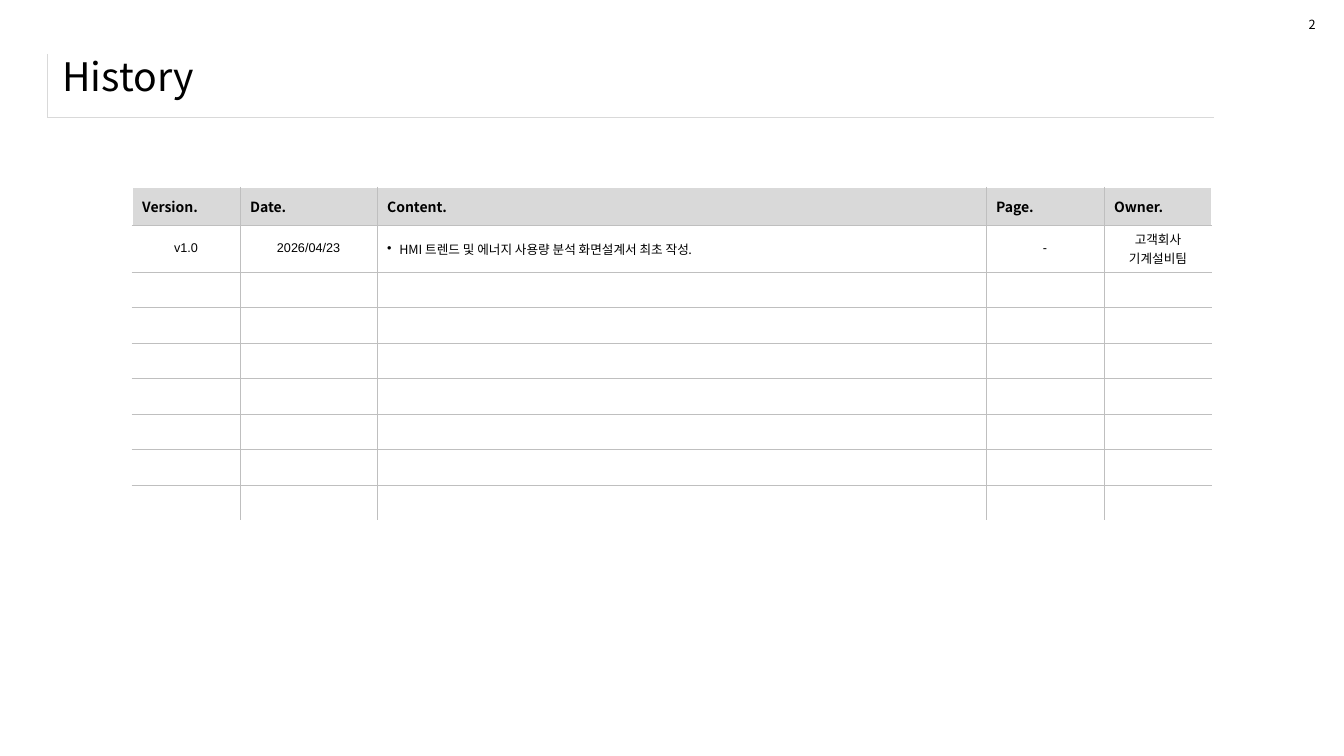
from dataclasses import dataclass

from lxml.etree import SubElement
from pptx import Presentation
from pptx.dml.color import RGBColor
from pptx.enum.text import MSO_ANCHOR as Anchor, MSO_AUTO_SIZE as AutoSize, PP_ALIGN as Align
from pptx.oxml.ns import qn
from pptx.util import Inches, Pt


@dataclass(frozen=True)
class Theme:
    text: str = "000000"
    header: str = "D9D9D9"
    grid: str = "BFBFBF"
    blank: str = "FFFFFF"
    sans: str = "Noto Sans CJK KR"
    latin: str = "Arial"
    title_size: int = 28
    header_size: int = 10
    body_size: int = 9
    hairline: float = 0.25
    indent: float = 0.12


class HistorySlide:
    """Places elements by percentages of the slide's width and height."""

    def __init__(self, deck, theme):
        self.deck, self.theme = deck, theme
        self.slide = deck.slides.add_slide(deck.slide_layouts[5])

    def across(self, percent):
        return round(self.deck.slide_width * percent / 100)

    def down(self, percent):
        return round(self.deck.slide_height * percent / 100)

    def box(self, left, top, width, height):
        return self.across(left), self.down(top), self.across(width), self.down(height)

    def style(self, paragraph, size, face=None, bold=False, align=Align.LEFT):
        face = face or self.theme.sans
        paragraph.alignment = align
        font = paragraph.font
        font.size, font.bold, font.name = Pt(size), bold, face
        font.color.rgb = RGBColor.from_string(self.theme.text)
        SubElement(font._rPr, qn("a:ea"), typeface=face)
        if not paragraph.text:
            SubElement(paragraph._p, qn("a:endParaRPr"), sz=str(size * 100))

    def bullet(self, paragraph):
        indent = Inches(self.theme.indent)
        properties = paragraph._p.get_or_add_pPr()
        properties.set("marL", str(indent))
        properties.set("indent", str(-indent))
        SubElement(properties, qn("a:buFont"), typeface=self.theme.latin)
        SubElement(properties, qn("a:buChar"), char="•")

    def title(self, text, *area):
        heading = self.slide.shapes.title
        heading.left, heading.top, heading.width, heading.height = self.box(*area)
        frame = heading.text_frame
        frame.text = text
        frame.auto_size, frame.vertical_anchor = AutoSize.NONE, Anchor.MIDDLE
        self.style(frame.paragraphs[0], self.theme.title_size)

    def page_number(self, text, *area):
        frame = self.slide.shapes.add_textbox(*self.box(*area)).text_frame
        frame.text = text
        frame.word_wrap = False
        self.style(frame.paragraphs[0], self.theme.body_size)

    def table(self, left, top, widths, heights):
        area = self.box(left, top, sum(widths), sum(heights))
        grid = self.slide.shapes.add_table(len(heights), len(widths), *area).table
        grid.first_row = grid.horz_banding = False
        for column, width in zip(grid.columns, widths):
            column.width = self.across(width)
        for row, height in zip(grid.rows, heights):
            row.height = self.down(height)
        return grid

    def cell(self, cell, text, borders, fill=None, bulleted=False, **style):
        cell.text, cell.vertical_anchor = text, Anchor.MIDDLE
        if bulleted:
            self.bullet(cell.text_frame.paragraphs[0])
        self.style(cell.text_frame.paragraphs[0], **style)
        properties = cell._tc.get_or_add_tcPr()
        for side in "LRTB":
            if side in borders:
                color, width = borders[side]
                line = SubElement(properties, qn(f"a:ln{side}"), w=str(Pt(width)))
                SubElement(SubElement(line, qn("a:solidFill")), qn("a:srgbClr"), val=color)
        if fill:
            cell.fill.solid()
            cell.fill.fore_color.rgb = RGBColor.from_string(fill)
        else:
            cell.fill.background()

    def title_frame(self, left, top, width, height):
        frame = self.table(left, top, [width], [height])
        line = (self.theme.header, self.theme.hairline)
        self.cell(frame.cell(0, 0), "", {"L": line, "B": line}, size=self.theme.body_size)

    def history(self, left, top, widths, heights, headings, entries):
        theme = self.theme
        grid = self.table(left, top, widths, heights)
        line, hidden = (theme.grid, theme.hairline), (theme.blank, 1)
        last_row, last_column = len(heights) - 1, len(widths) - 1
        for row in range(len(heights)):
            for column in range(len(widths)):
                borders = {"L": line if column else hidden,
                           "B": line if row < last_row else hidden}
                if column < last_column:
                    borders["R"] = line
                if row:
                    borders["T"] = line
                cell = grid.cell(row, column)
                if row == 0:
                    self.cell(cell, headings[column], borders, theme.header,
                              size=theme.header_size, bold=True)
                elif row <= len(entries):
                    text, options = entries[row - 1][column]
                    self.cell(cell, text, borders, size=theme.body_size, **options)
                else:
                    self.cell(cell, "", borders, size=theme.body_size)


def main():
    deck = Presentation()
    deck.slide_width, deck.slide_height = Inches(13.33), Inches(7.5)
    theme = Theme()
    page = HistorySlide(deck, theme)

    # Title with its corner frame
    page.title_frame(3.53, 7.2, 86.72, 8.27)
    page.title("History", 3.9, 5.87, 93.7, 8.4)

    # Revision table
    centred = {"align": Align.CENTER}
    centred_latin = {"align": Align.CENTER, "face": theme.latin}
    first_version = [
        ("v1.0", centred_latin),
        ("2026/04/23", centred_latin),
        ("HMI 트렌드 및 에너지 사용량 분석 화면설계서 최초 작성.", {"bulleted": True}),
        ("-", centred_latin),
        ("고객회사 기계설비팀", centred),
    ]
    page.history(9.83, 24.8, [8.03, 10.2, 45.31, 8.78, 8.03], [5] + [4.7] * 8,
                 ["Version.", "Date.", "Content.", "Page.", "Owner."], [first_version])

    # Page number
    page.page_number("2", 96.62, 1.6, 2.03, 3.33)
    deck.save("out.pptx")


if __name__ == "__main__":
    main()
